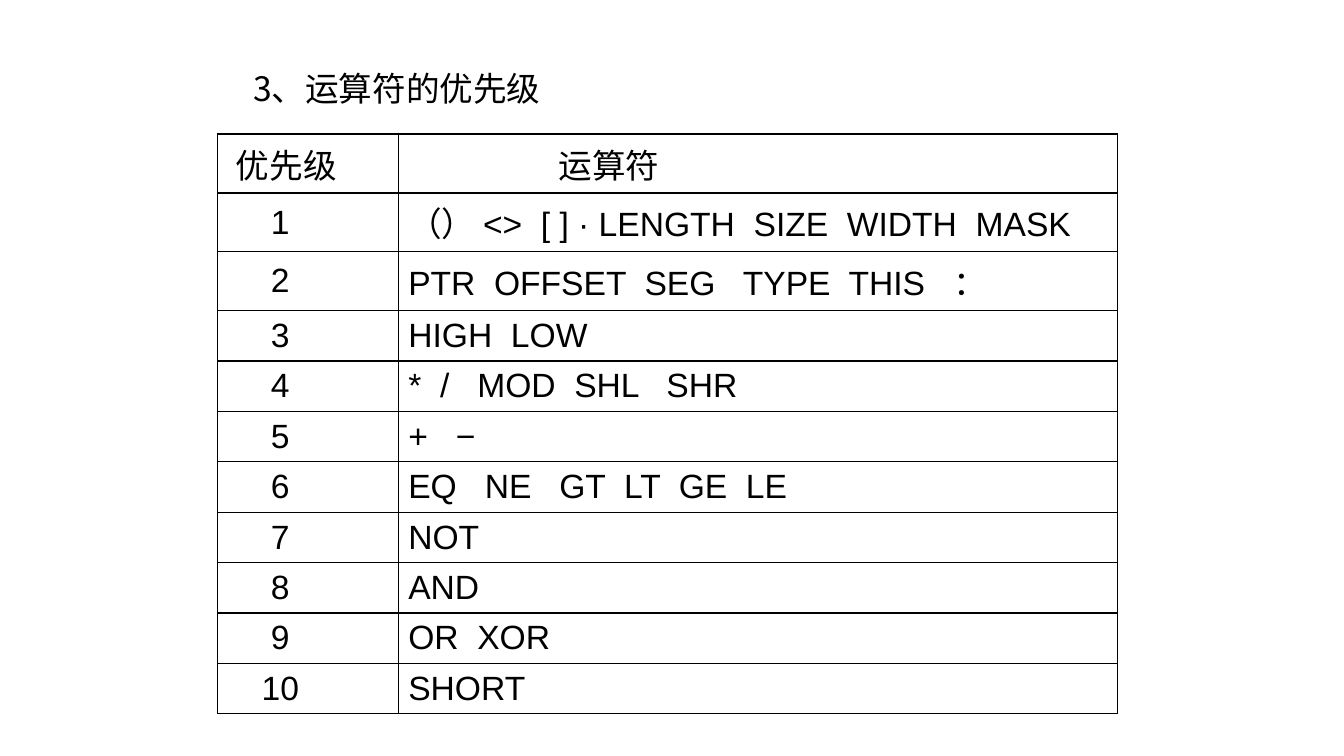
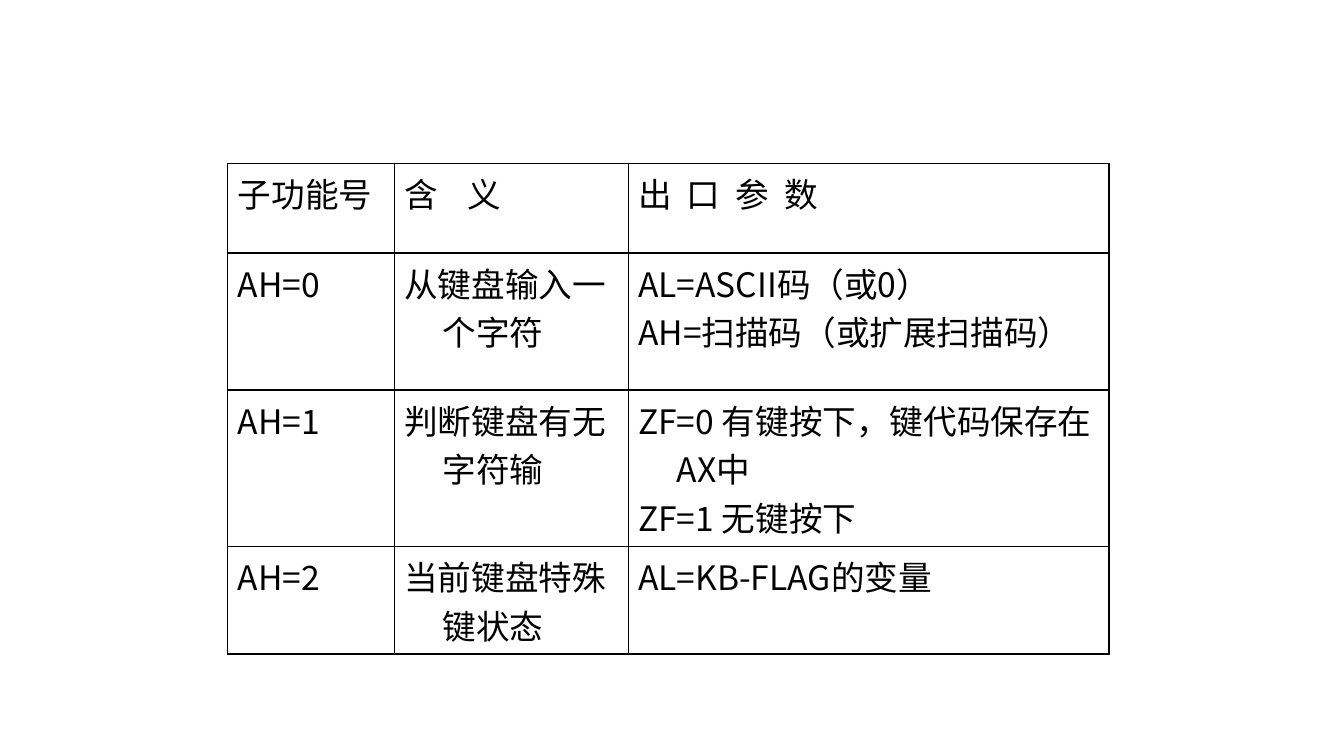
from pptx import Presentation
from pptx import util as u
from pptx.dml.color import RGBColor
from pptx.enum import text
from pptx.oxml import parse_xml
from pptx.oxml.ns import nsdecls, qn

SLIDE_SIZE = 13.33, 7.5
INK = "000000"
LATIN, CHINESE = "Arial", "Noto Sans CJK SC"
TEXT_SIZE = 24
HANG = 0.38
INSET = 0.1

TITLE = "3、运算符的优先级"
PRIORITY_HEADER = "优先级", "运算符"
OPERATORS = [
    "（） <>  [ ] · LENGTH  SIZE  WIDTH  MASK",
    "PTR  OFFSET  SEG   TYPE  THIS   ：",
    "HIGH  LOW",
    "*  /   MOD  SHL   SHR",
    "+   −",
    "EQ   NE   GT  LT  GE  LE",
    "NOT",
    "AND",
    "OR  XOR",
    "SHORT",
]
KEYBOARD_CALLS = [
    ("子功能号", "含    义", "出  口  参  数"),
    ("AH=0", "从键盘输入一个字符", "AL=ASCII码（或0）\nAH=扫描码（或扩展扫描码）"),
    ("AH=1", "判断键盘有无字符输", "ZF=0 有键按下，键代码保存在AX中\nZF=1 无键按下"),
    ("AH=2", "当前键盘特殊键状态", "AL=KB-FLAG的变量"),
]


def style_text(frame, latin):
    for para in frame.paragraphs:
        for span in para.runs:
            span.font.size = u.Pt(TEXT_SIZE)
            span.font.name = latin
            span.font.bold = False
            span.font.color.rgb = RGBColor.from_string(INK)
            east_asian = span.font._element.makeelement(qn("a:ea"), {"typeface": CHINESE})
            span.font._element.find(qn("a:latin")).addnext(east_asian)


def set_indent(para, first_line=0.0):
    """Start the first line at first_line and hang the following ones."""
    properties = para._p.get_or_add_pPr()
    properties.set("marL", str(u.Inches(first_line + HANG)))
    properties.set("indent", str(u.Inches(-HANG)))


def add_borders(cell):
    properties = cell._tc.get_or_add_tcPr()
    for side in "LRTB":
        properties.append(parse_xml(
            f'<a:ln{side} {nsdecls("a")} w="{u.Pt(1)}"><a:solidFill>'
            f'<a:srgbClr val="{INK}"/></a:solidFill></a:ln{side}>'))


def add_grid(page, left, top, widths, heights, rows, latin, anchor):
    table = page.shapes.add_table(
        len(heights), len(widths), u.Inches(left), u.Inches(top),
        u.Inches(sum(widths)), u.Inches(sum(heights))).table
    table.first_row = table.horz_banding = False
    for column, width in zip(table.columns, widths):
        column.width = u.Inches(width)
    for row, height, values in zip(table.rows, heights, rows):
        row.height = u.Inches(height)
        for cell, value in zip(row.cells, values):
            cell.text_frame.text = value
            cell.vertical_anchor = anchor
            cell.margin_left = cell.margin_right = u.Inches(INSET)
            add_borders(cell)
            cell.fill.background()
            style_text(cell.text_frame, latin)
            for para in cell.text_frame.paragraphs:
                set_indent(para)
    return table


def add_priority_page(deck):
    page = deck.slides.add_slide(deck.slide_layouts[5])
    title = page.shapes.title
    title.left, title.top, title.width, title.height = map(u.Inches, (2.41, 0.67, 8.5, 0.67))
    frame = title.text_frame
    frame.text = TITLE
    frame.vertical_anchor = text.MSO_ANCHOR.TOP
    frame.paragraphs[0].alignment = text.PP_ALIGN.LEFT
    frame.paragraphs[0].line_spacing = 0.9
    style_text(frame, CHINESE)

    ranked = [(str(rank), names) for rank, names in enumerate(OPERATORS, 1)]
    rows = [PRIORITY_HEADER] + ranked
    table = add_grid(page, 2.16, 1.33, (1.79, 7.13), [0.5] * len(rows), rows,
                     LATIN, text.MSO_ANCHOR.MIDDLE)
    for column, offset in enumerate((0.08, 1.49)):
        set_indent(table.cell(0, column).text_frame.paragraphs[0], offset)
    for row in range(1, len(rows)):
        rank_cell = table.cell(row, 0)
        rank_cell.margin_right = u.Inches(0.65)
        para = rank_cell.text_frame.paragraphs[0]
        para.alignment = text.PP_ALIGN.CENTER
        for name in ("marL", "indent"):
            para._p.pPr.set(name, "0")


def add_keyboard_page(deck):
    page = deck.slides.add_slide(deck.slide_layouts[6])
    add_grid(page, 2.26, 1.62, (1.65, 2.32, 4.77), (0.89, 1.36, 1.36, 0.9),
             KEYBOARD_CALLS, CHINESE, text.MSO_ANCHOR.TOP)


def main():
    deck = Presentation()
    deck.slide_width, deck.slide_height = map(u.Inches, SLIDE_SIZE)
    add_priority_page(deck)
    add_keyboard_page(deck)
    deck.save("out.pptx")


if __name__ == "__main__":
    main()
